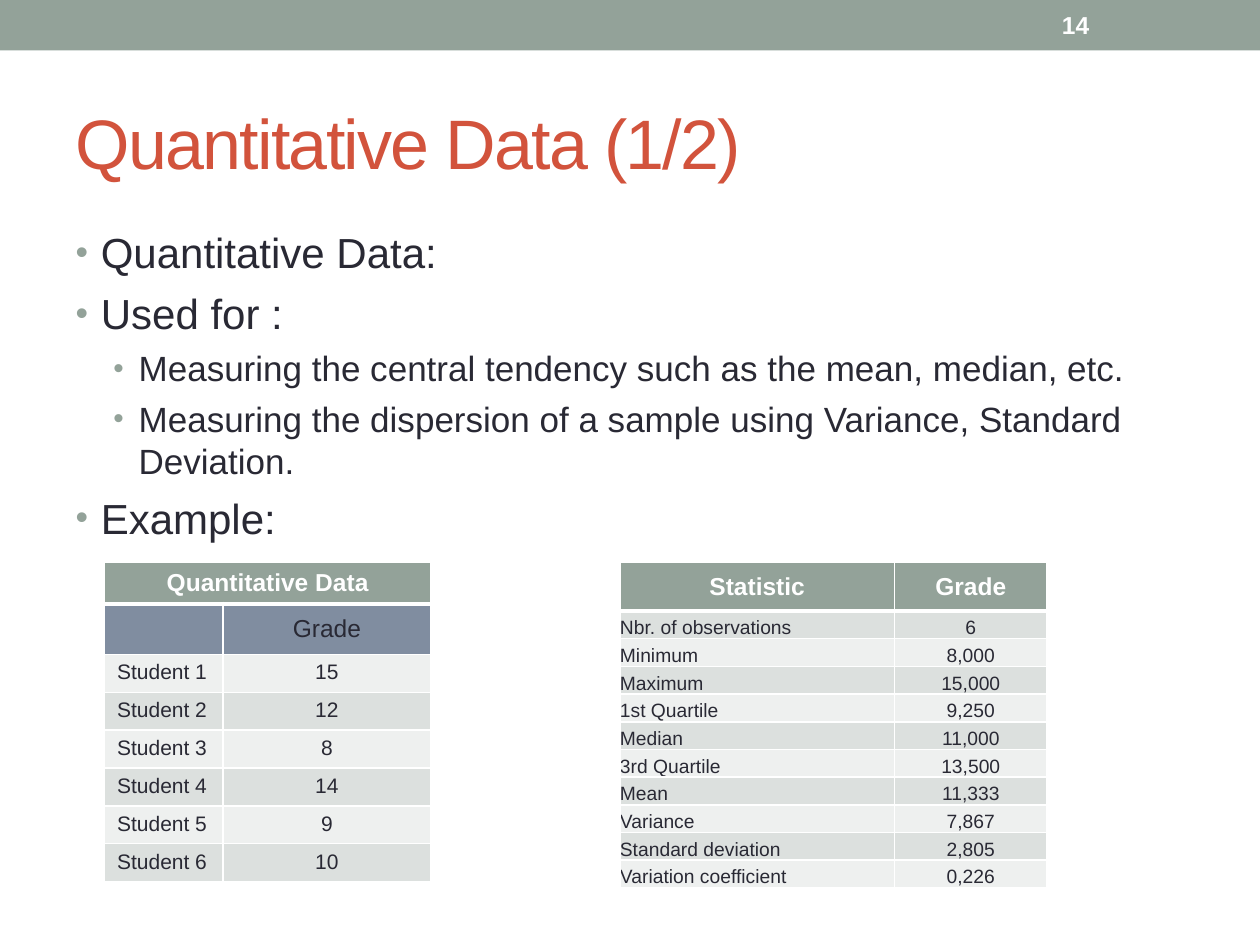
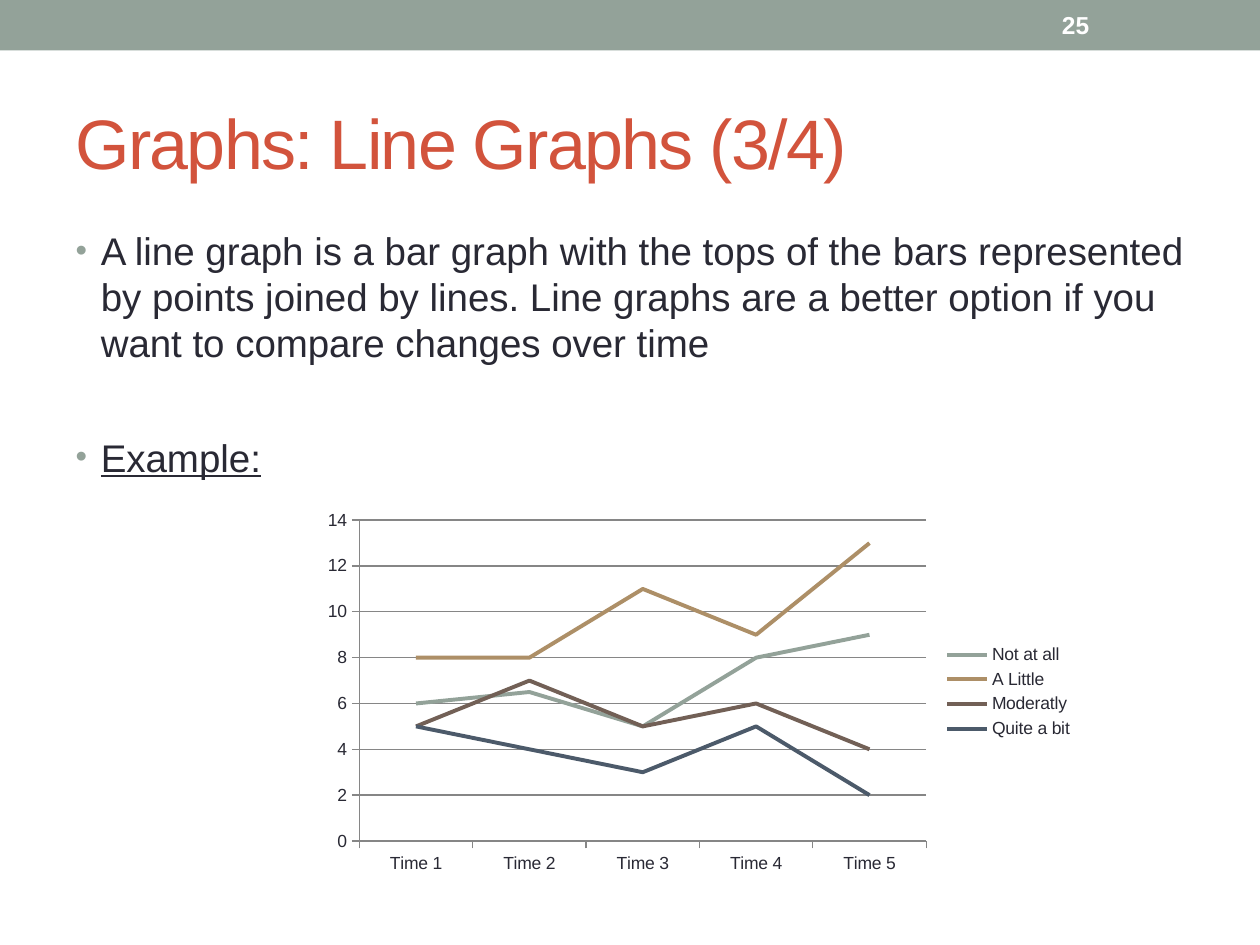
"""Build two statistics slides: quantitative data tables and a line graph."""
from lxml import etree
from pptx import Presentation
from pptx.chart.data import CategoryChartData
from pptx.dml.color import RGBColor
from pptx.enum.chart import XL_CHART_TYPE, XL_LEGEND_POSITION, XL_MARKER_STYLE, XL_TICK_MARK
from pptx.enum.shapes import MSO_SHAPE
from pptx.enum.text import MSO_ANCHOR, MSO_AUTO_SIZE, PP_ALIGN
from pptx.oxml.ns import qn
from pptx.util import Inches, Pt

LINE = XL_CHART_TYPE.LINE
RIGHT = XL_LEGEND_POSITION.RIGHT
NO_MARK = XL_MARKER_STYLE.NONE
OUT, NO_TICK = XL_TICK_MARK.OUTSIDE, XL_TICK_MARK.NONE
RECT = MSO_SHAPE.RECTANGLE
TOP, MID, LOW = MSO_ANCHOR.TOP, MSO_ANCHOR.MIDDLE, MSO_ANCHOR.BOTTOM
LEFT, CENTER = PP_ALIGN.LEFT, PP_ALIGN.CENTER
NO_FIT = MSO_AUTO_SIZE.NONE

FONT = "Arial"
SAGE, RUST, INK, WHITE = "93A299", "D2533C", "292934", "FFFFFF"
SLATE, PALE, DARK, GRID = "808DA0", "EEF0EF", "DCE0DE", "868686"

GRADES = [("Student 1", "15"), ("Student 2", "12"), ("Student 3", "8"),
          ("Student 4", "14"), ("Student 5", "9"), ("Student 6", "10")]
STATS = [("Nbr. of observations", "6"), ("Minimum", "8,000"), ("Maximum", "15,000"),
         ("1st Quartile", "9,250"), ("Median", "11,000"), ("3rd Quartile", "13,500"),
         ("Mean", "11,333"), ("Variance", "7,867"), ("Standard deviation", "2,805"),
         ("Variation coefficient", "0,226")]
TIMES = [f"Time {n}" for n in range(1, 6)]
SERIES = [("Not at all", (6, 6.5, 5, 8, 9), SAGE),
          ("A Little", (8, 8, 11, 9, 13), "AD8F67"),
          ("Moderatly", (5, 7, 5, 6, 4), "726056"),
          ("Quite a bit", (5, 4, 3, 5, 2), "4C5A6A")]


def rgb(code):
    return RGBColor.from_string(code)


def place(shape, x, y, w, h):
    shape.left, shape.top = Inches(x), Inches(y)
    shape.width, shape.height = Inches(w), Inches(h)


def style(font, size, color, bold=False):
    font.name, font.size, font.bold = FONT, Pt(size), bold
    font.color.rgb = rgb(color)


def add_run(para, text, size, color, bold=False):
    run = para.add_run()
    run.text = text
    style(run.font, size, color, bold)
    return run


def add_base(deck, title, number):
    slide = deck.slides.add_slide(deck.slide_layouts[1])
    band = slide.shapes.add_shape(RECT, 0, 0, deck.slide_width, Inches(0.4))
    band.shadow.inherit = False
    band.fill.solid()
    band.fill.fore_color.rgb = rgb(SAGE)
    band.line.fill.background()

    head = slide.shapes.title
    place(head, 0.5, 0.58, 9, 1.08)
    frame = head.text_frame
    frame.auto_size, frame.vertical_anchor = NO_FIT, MID
    para = frame.paragraphs[0]
    para.alignment = LEFT
    run = add_run(para, title, 40, RUST)
    run.font._element.set("spc", "-100")

    box = slide.shapes.add_textbox(Inches(8.33), Inches(0.02), Inches(1.17), Inches(0.36))
    box.text_frame.word_wrap = True
    box.text_frame.vertical_anchor = MID
    add_run(box.text_frame.paragraphs[0], number, 14, WHITE, True)
    return slide


def add_bullet(para, level):
    para.level = level
    props = para._p.get_or_add_pPr()
    props.set("marL", str(Inches(0.5 if level else 0.2)))
    props.set("indent", str(Inches(-0.2)))
    color = etree.SubElement(props, qn("a:buClr"))
    etree.SubElement(color, qn("a:srgbClr"), val=SAGE)
    etree.SubElement(props, qn("a:buSzPct"), val="85000")
    etree.SubElement(props, qn("a:buFont"), typeface=FONT)
    etree.SubElement(props, qn("a:buChar"), char="•")


def add_list(slide, items):
    body = slide.placeholders[1]
    place(body, 0.5, 1.75, 9, 5.33)
    frame = body.text_frame
    frame.auto_size = NO_FIT
    for i, (text, level, size, gap, under) in enumerate(items):
        para = frame.add_paragraph() if i else frame.paragraphs[0]
        add_bullet(para, level)
        para.space_before = Pt(gap)
        add_run(para, text, size, INK).font.underline = under


def add_edge(cell, side, width):
    props = cell._tc.get_or_add_tcPr()
    edge = etree.SubElement(props, qn(f"a:ln{side}"), w=str(Pt(width)))
    fill = etree.SubElement(edge, qn("a:solidFill"))
    etree.SubElement(fill, qn("a:srgbClr"), val=WHITE)


def fill_cell(cell, text, row, look, align, inset):
    fill, size, color, bold, anchor = look
    for side in "LRTB":
        thick = (row, side) in ((0, "B"), (1, "T"))
        add_edge(cell, side, 3 if thick else 1)
    cell.fill.solid()
    cell.fill.fore_color.rgb = rgb(fill)
    cell.vertical_anchor = anchor
    cell.margin_left = cell.margin_right = Inches(inset)
    cell.margin_top = cell.margin_bottom = Inches(inset / 2)
    para = cell.text_frame.paragraphs[0]
    para.alignment = align
    if text:
        add_run(para, text, size, color, bold)


def add_grid(slide, x, y, widths, heights, rows, heads, size, anchor, inset):
    frame = slide.shapes.add_table(len(rows), len(widths), Inches(x), Inches(y),
                                   Inches(sum(widths)), Inches(sum(heights)))
    table = frame.table
    table.first_row = table.horz_banding = False
    for col, width in zip(table.columns, widths):
        col.width = Inches(width)
    for r, texts in enumerate(rows):
        table.rows[r].height = Inches(heights[r])
        plain = (DARK if r % 2 else PALE, size, INK, False, anchor)
        look = heads[r] if r < len(heads) else plain
        for c, text in enumerate(texts):
            align = LEFT if c == 0 and r >= len(heads) else CENTER
            fill_cell(table.cell(r, c), text, r, look, align, inset)
    return table


def add_graph(slide, x, y, w, h):
    data = CategoryChartData()
    data.categories = TIMES
    for name, vals, _ in SERIES:
        data.add_series(name, vals)
    chart = slide.shapes.add_chart(LINE, Inches(x), Inches(y), Inches(w), Inches(h), data).chart
    style(chart.font, 10, INK)
    chart.has_title = False
    chart.has_legend = True
    chart.legend.position = RIGHT
    chart.legend.include_in_layout = False
    chart.plots[0].vary_by_categories = False
    for line, (_, _, color) in zip(chart.plots[0].series, SERIES):
        line.smooth = False
        line.marker.style = NO_MARK
        line.format.line.width = Pt(2.25)
        line.format.line.color.rgb = rgb(color)
    for axis in (chart.category_axis, chart.value_axis):
        axis.major_tick_mark, axis.minor_tick_mark = OUT, NO_TICK
        axis.format.line.color.rgb = rgb(GRID)
    scale = chart.value_axis
    scale.minimum_scale, scale.maximum_scale, scale.major_unit = 0, 14, 2
    scale.has_major_gridlines = True
    scale.major_gridlines.format.line.color.rgb = rgb(GRID)


def main():
    deck = Presentation()
    deck.slide_width, deck.slide_height = Inches(10), Inches(7.5)
    head = (SAGE, 14, WHITE, True, MID)
    sub = (SLATE, 14, INK, False, MID)

    slide = add_base(deck, "Quantitative Data (1/2)", "14")
    add_list(slide, [
        ("Quantitative Data:", 0, 24, 0, False),
        ("Used for :", 0, 24, 6, False),
        ("Measuring the central tendency such as the mean, median, etc.", 1, 20, 5, False),
        ("Measuring the dispersion of a sample using Variance, Standard Deviation.",
         1, 20, 5, False),
        ("Example:", 0, 24, 6, False)])
    table = add_grid(slide, 0.83, 4.46, (0.94, 1.65), [0.31, 0.38] + [0.29] * 6,
                     [("Quantitative Data", ""), ("", "Grade")] + GRADES,
                     [head, sub], 12, TOP, 0.1)
    table.cell(0, 0).merge(table.cell(0, 1))
    add_grid(slide, 4.92, 4.46, (2.18, 1.21), [0.39] + [0.22] * 10,
             [("Statistic", "Grade")] + STATS, [head], 11, LOW, 0)

    slide = add_base(deck, "Graphs: Line Graphs (3/4)", "25")
    add_list(slide, [
        ("A line graph is a bar graph with the tops of the bars represented by points "
         "joined by lines. Line graphs are a better option if you want to compare "
         "changes over time", 0, 22, 0, False),
        ("Example:", 0, 22, 39, True)])
    add_graph(slide, 2.48, 3.99, 6.14, 3)
    deck.save("out.pptx")


if __name__ == "__main__":
    main()
